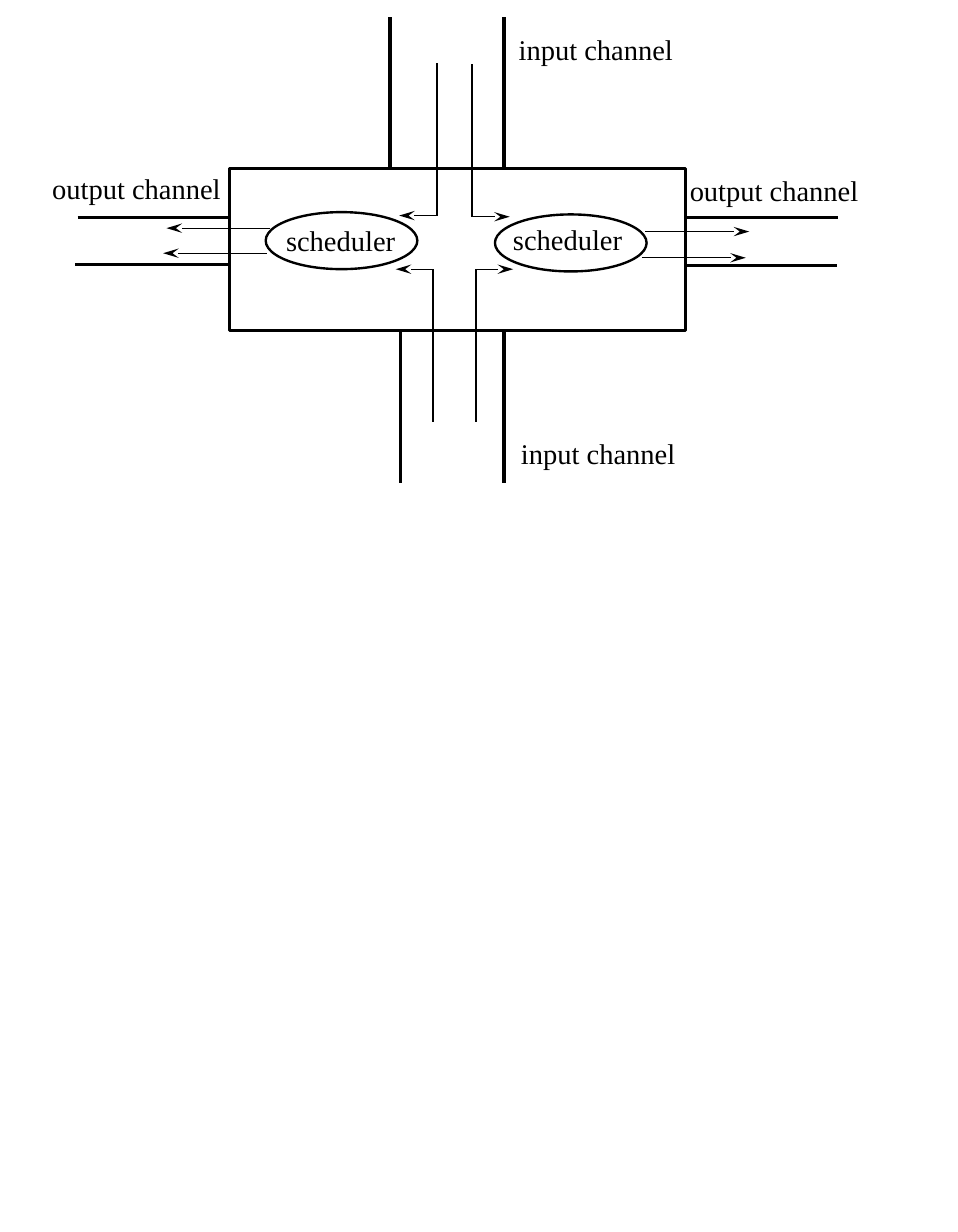
"""Draw a router with two schedulers between its input and output channels."""
from lxml.etree import SubElement
from pptx import Presentation
from pptx.dml.color import RGBColor
from pptx.enum.shapes import MSO_CONNECTOR, MSO_SHAPE
from pptx.enum.text import MSO_AUTO_SIZE
from pptx.oxml.ns import qn
from pptx.util import Inches, Pt

deck = Presentation()
deck.slide_width, deck.slide_height = Inches(8.4), Inches(10.8)
slide = deck.slides.add_slide(deck.slide_layouts[6])
col, row = deck.slide_width / 84, deck.slide_height / 108
ink = "000000"
wall, rim, stem, thin = 2, 1.5, 1.25, 0.75
frame_form = {"word_wrap": False, "auto_size": MSO_AUTO_SIZE.SHAPE_TO_FIT_TEXT}
font_form = {"name": "Times New Roman", "size": Pt(18)}


def paint(color, tint):
    color.rgb = RGBColor.from_string(tint)


def join(home, x1, y1, x2, y2, weight, arrow=False):
    ends = [round(n) for n in (x1 * col, y1 * row, x2 * col, y2 * row)]
    link = home.add_connector(MSO_CONNECTOR.STRAIGHT, *ends)
    paint(link.line.color, ink)
    link.line.width = Pt(weight)
    if arrow:
        SubElement(link.line._get_or_add_ln(), qn("a:tailEnd"),
                   type="stealth", w="med", len="lg")
    SubElement(link._element.spPr, qn("a:effectLst"))


labels = [
    ("output channel", 3.6, 14.5, 17),
    ("output channel", 59.5, 14.7, 17),
    ("input channel", 44.7, 37.7, 15.7),
    ("input channel", 44.5, 2.3, 15.7),
    ("scheduler", 24.1, 19.1, 11.7),
    ("scheduler", 44, 19, 11.7),
]
for words, x, y, wide in labels:
    box = slide.shapes.add_textbox(*map(round, (x * col, y * row, wide * col, 4 * row)))
    frame = box.text_frame
    for key, value in frame_form.items():
        setattr(frame, key, value)
    run = frame.paragraphs[0].add_run()
    run.text = words
    for key, value in font_form.items():
        setattr(run.font, key, value)
    paint(run.font.color, ink)

outlines = [
    (MSO_SHAPE.RECTANGLE, 20.1, 14.8, 40, 14.2, wall),
    (MSO_SHAPE.OVAL, 23.3, 18.6, 13.3, 5, rim),
    (MSO_SHAPE.OVAL, 43.4, 18.8, 13.3, 5, rim),
]
for kind, x, y, wide, high, weight in outlines:
    form = slide.shapes.add_shape(
        kind, *map(round, (x * col, y * row, wide * col, high * row)))
    form.fill.background()
    form.shadow.inherit = False
    paint(form.line.color, ink)
    form.line.width = Pt(weight)

for x, y in [(35.1, 29), (44.2, 1.5), (44.2, 29), (34.2, 1.5)]:
    join(slide.shapes, x, y, x, y + 13.3, wall)
for x, y in [(6.8, 19.1), (6.6, 23.2), (60.1, 19.1), (60, 23.3)]:
    join(slide.shapes, x, y, x + 13.4, y, wall)

bends = [(38, 23.6, -1, 1), (41.7, 23.6, 1, 1), (41.4, 19, 1, -1), (38.3, 18.9, -1, -1)]
for x, y, side, way in bends:
    bend = slide.shapes.add_group_shape().shapes
    join(bend, x, y, x, y + 13.4 * way, stem)
    join(bend, x, y, x + 3.3 * side, y, thin, True)

for x, y, side in [(56.3, 22.6, 1), (56.6, 20.3, 1), (23.4, 22.2, -1), (23.7, 20, -1)]:
    join(slide.shapes, x, y, x + 9.1 * side, y, thin, True)

deck.save("out.pptx")
